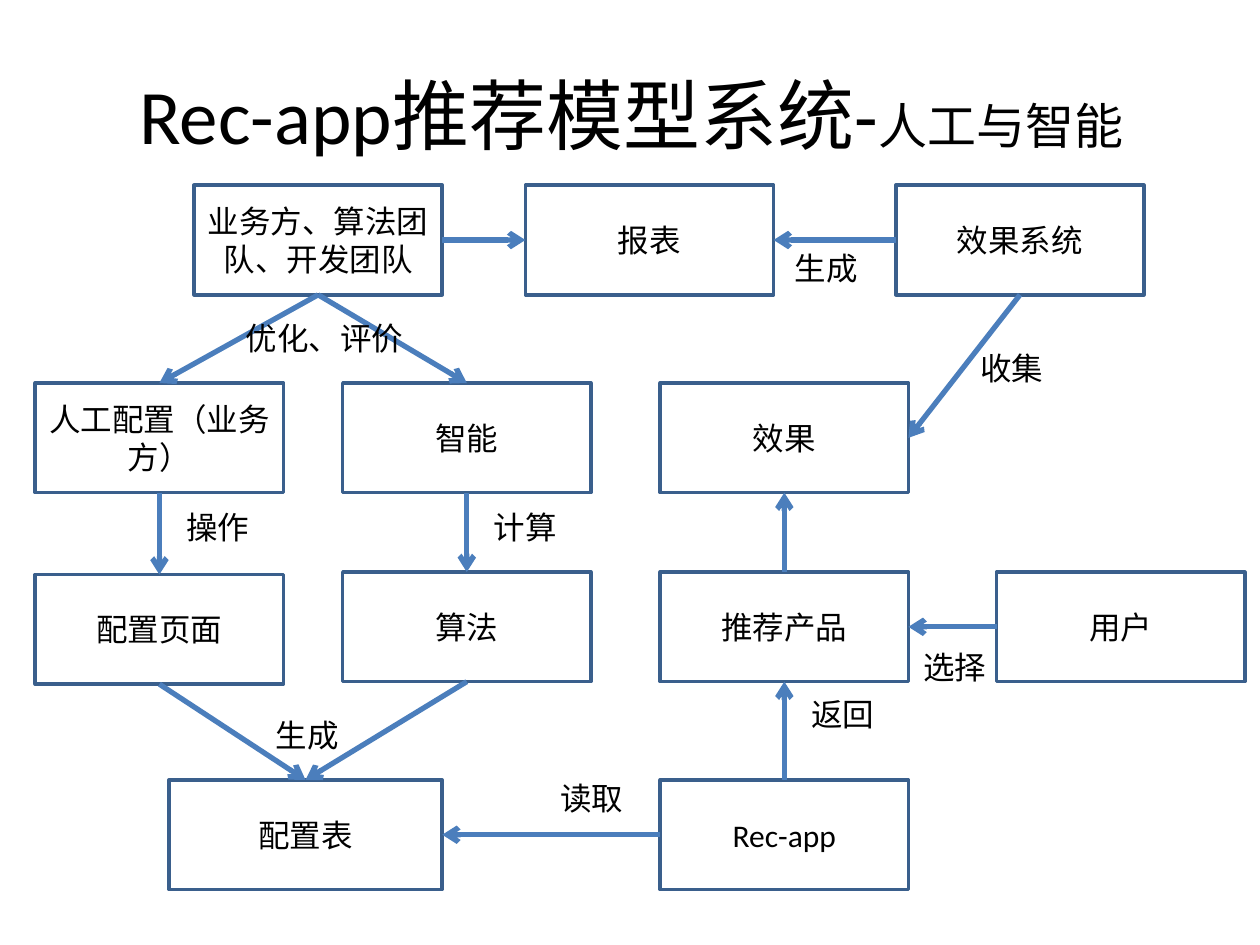
from dataclasses import dataclass

from lxml.etree import SubElement
from pptx import Presentation
from pptx.dml.color import RGBColor
from pptx.enum.shapes import MSO_CONNECTOR, MSO_SHAPE
from pptx.enum.text import MSO_ANCHOR, PP_ALIGN
from pptx.oxml.ns import qn
from pptx.util import Inches, Pt

FONT = "Calibri"
BLACK, EDGE, BLUE = "000000", "3A5F8C", "4B7EBC"
TOP, LEFT, BOTTOM, RIGHT = range(4)
ROWS = (1.47, 3.04, 4.54, 6.19)
HIGH = 0.87


@dataclass
class Box:
    name: str
    text: str
    left: float
    top: float
    width: float = 1.97


@dataclass
class Arrow:
    start: str
    out: int
    end: str
    into: int


@dataclass
class Label:
    text: str
    left: float
    top: float
    width: float = 0.87


BOXES = [
    Box("teams", "业务方、算法团队、开发团队", 1.54, ROWS[0]),
    Box("report", "报表", 4.17, ROWS[0]),
    Box("tracker", "效果系统", 7.11, ROWS[0]),
    Box("manual", "人工配置（业务方）", 0.28, ROWS[1]),
    Box("smart", "智能", 2.72, ROWS[1]),
    Box("effect", "效果", 5.24, ROWS[1]),
    Box("page", "配置页面", 0.28, 4.56),
    Box("method", "算法", 2.72, ROWS[2]),
    Box("product", "推荐产品", 5.24, ROWS[2]),
    Box("user", "用户", 7.91, ROWS[2]),
    Box("table", "配置表", 1.34, ROWS[3], 2.17),
    Box("app", "Rec-app", 5.24, ROWS[3]),
]

ARROWS = [
    Arrow("teams", RIGHT, "report", LEFT),
    Arrow("tracker", LEFT, "report", RIGHT),
    Arrow("tracker", BOTTOM, "effect", RIGHT),
    Arrow("teams", BOTTOM, "manual", TOP),
    Arrow("teams", BOTTOM, "smart", TOP),
    Arrow("manual", BOTTOM, "page", TOP),
    Arrow("smart", BOTTOM, "method", TOP),
    Arrow("page", BOTTOM, "table", TOP),
    Arrow("method", BOTTOM, "table", TOP),
    Arrow("app", LEFT, "table", RIGHT),
    Arrow("app", TOP, "product", BOTTOM),
    Arrow("user", LEFT, "product", RIGHT),
    Arrow("product", TOP, "effect", BOTTOM),
]

LABELS = [
    Label("生成", 6.21, 1.93, 0.91),
    Label("收集", 7.68, 2.72),
    Label("优化、评价", 1.85, 2.48, 1.65),
    Label("操作", 1.38, 3.98),
    Label("计算", 3.82, 3.98),
    Label("选择", 7.23, 5.09),
    Label("返回", 6.34, 5.47),
    Label("生成", 2.09, 5.63),
    Label("读取", 4.35, 6.13),
]


def color(code: str) -> RGBColor:
    return RGBColor.from_string(code)


def style(run, size: float) -> None:
    run.font.name = FONT
    run.font.size = Pt(size)
    run.font.color.rgb = color(BLACK)


def write(frame, text: str, align) -> None:
    frame.word_wrap = True
    frame.text = text
    para = frame.paragraphs[0]
    para.alignment = align
    style(para.runs[0], 18)


def draw_title(slide) -> None:
    title = slide.shapes.title
    title.left, title.top = Inches(0.51), Inches(0.28)
    title.width, title.height = Inches(9), Inches(1.25)
    frame = title.text_frame
    frame.vertical_anchor = MSO_ANCHOR.MIDDLE
    para = frame.paragraphs[0]
    para.alignment = PP_ALIGN.CENTER
    for text, size in (("Rec-app推荐模型系统-", 44), ("人工与智能", 28)):
        run = para.add_run()
        run.text = text
        style(run, size)


def draw_box(slide, box: Box):
    shape = slide.shapes.add_shape(
        MSO_SHAPE.RECTANGLE, Inches(box.left), Inches(box.top),
        Inches(box.width), Inches(HIGH))
    shape.shadow.inherit = False
    shape.fill.background()
    shape.line.color.rgb = color(EDGE)
    shape.line.width = Pt(2)
    shape.text_frame.vertical_anchor = MSO_ANCHOR.MIDDLE
    write(shape.text_frame, box.text, PP_ALIGN.CENTER)
    return shape


def draw_arrow(slide, arrow: Arrow, nodes: dict) -> None:
    line = slide.shapes.add_connector(MSO_CONNECTOR.STRAIGHT, 0, 0, 0, 0)
    line.begin_connect(nodes[arrow.start], arrow.out)
    line.end_connect(nodes[arrow.end], arrow.into)
    line.line.color.rgb = color(BLUE)
    line.line.width = Pt(3)
    # Arrowhead at the end, no shadow
    props = line._element.spPr
    SubElement(props.find(qn("a:ln")), qn("a:tailEnd"), type="arrow")
    SubElement(props, qn("a:effectLst"))


def draw_label(slide, label: Label) -> None:
    area = slide.shapes.add_textbox(
        Inches(label.left), Inches(label.top),
        Inches(label.width), Inches(0.4))
    write(area.text_frame, label.text, PP_ALIGN.LEFT)


def main() -> None:
    deck = Presentation()
    deck.slide_width, deck.slide_height = Inches(10), Inches(7.5)
    slide = deck.slides.add_slide(deck.slide_layouts[5])
    draw_title(slide)
    # Boxes first, so the arrows can join them
    nodes = {box.name: draw_box(slide, box) for box in BOXES}
    for arrow in ARROWS:
        draw_arrow(slide, arrow, nodes)
    for label in LABELS:
        draw_label(slide, label)
    deck.save("out.pptx")


if __name__ == "__main__":
    main()
